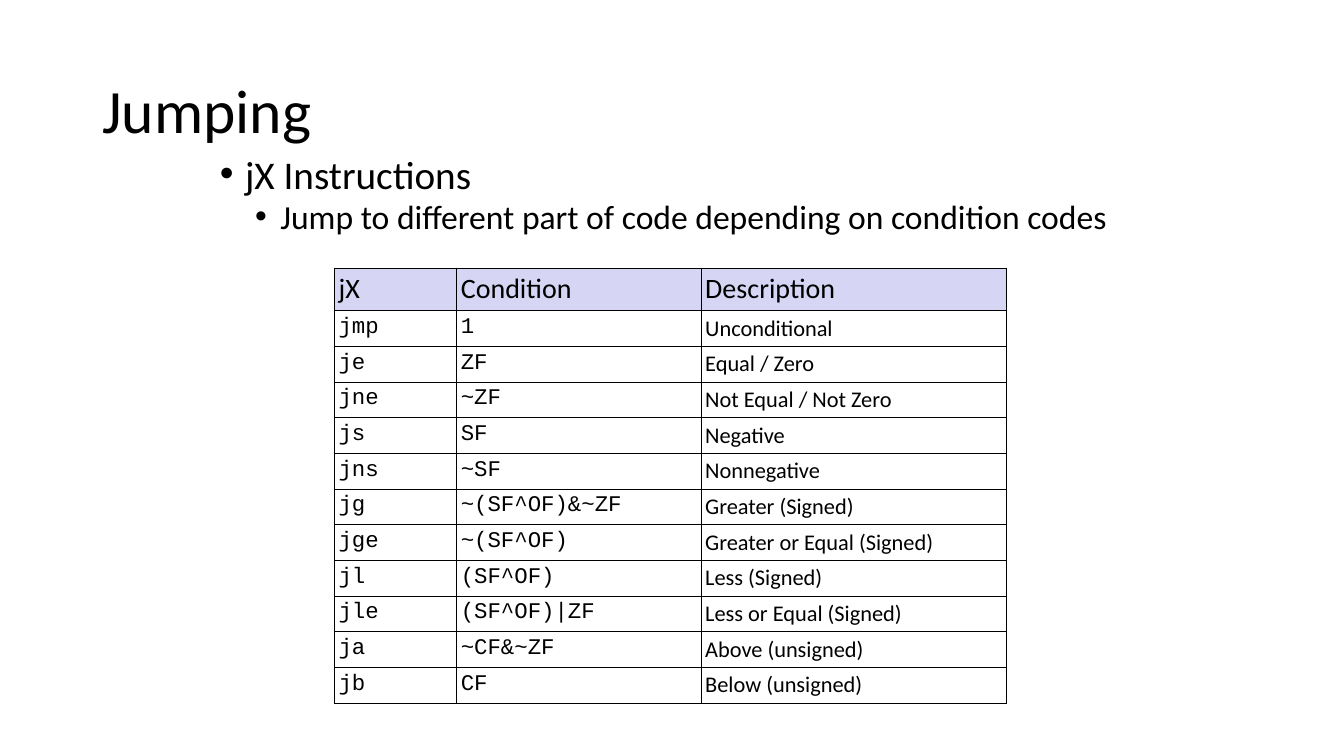
from lxml import etree
from pptx import Presentation
from pptx.dml.color import RGBColor
from pptx.enum.text import MSO_ANCHOR
from pptx.oxml.ns import qn
from pptx.util import Pt

MIDDLE = MSO_ANCHOR.MIDDLE
COLORS = {"text": "000000", "border": "000000", "header": "D6D6F4"}
SANS, MONO = "Calibri", "Courier New"


def format_text(para, size, font):
    for span in para.runs:
        span.font.size = Pt(size)
        span.font.name = font
        span.font.color.rgb = RGBColor.from_string(COLORS["text"])


def add_border(cell):
    properties = cell._tc.get_or_add_tcPr()
    for side in ("lnL", "lnR", "lnT", "lnB"):
        line = etree.SubElement(properties, qn("a:" + side), w=str(Pt(1)))
        fill = etree.SubElement(line, qn("a:solidFill"))
        etree.SubElement(fill, qn("a:srgbClr"), val=COLORS["border"])


deck = Presentation()
deck.slide_width, deck.slide_height = Pt(960), Pt(540)
page = deck.slides.add_slide(deck.slide_layouts[6])

# Title
title = page.shapes.add_textbox(Pt(66), Pt(28.75), Pt(828), Pt(104.4)).text_frame
title.word_wrap = True
title.vertical_anchor = MIDDLE
title.text = "Jumping"
title.paragraphs[0].line_spacing = 0.9
format_text(title.paragraphs[0], 44, SANS)

# Bullets: text, size, space before, left margin
bullets = [
    ("jX Instructions", 28, 10, 18),
    ("Jump to different part of code depending on condition codes", 24, 5, 43.2),
]
body = page.shapes.add_textbox(Pt(150), Pt(110.2), Pt(660), Pt(67.7)).text_frame
body.word_wrap = True
body.text = "\n".join(bullet[0] for bullet in bullets)
for level, (para, bullet) in enumerate(zip(body.paragraphs, bullets)):
    text, size, space, margin = bullet
    para.level = level
    para.line_spacing = 0.8
    para.space_before = Pt(space)
    format_text(para, size, SANS)
    properties = para._p.get_or_add_pPr()
    properties.set("marL", str(Pt(margin)))
    properties.set("indent", str(Pt(-18)))
    etree.SubElement(properties, qn("a:buFont"), typeface="Arial")
    etree.SubElement(properties, qn("a:buChar"), char="•")

# Jump instruction table
jumps = [
    ("jX", "Condition", "Description"),
    ("jmp", "1", "Unconditional"),
    ("je", "ZF", "Equal / Zero"),
    ("jne", "~ZF", "Not Equal / Not Zero"),
    ("js", "SF", "Negative"),
    ("jns", "~SF", "Nonnegative"),
    ("jg", "~(SF^OF)&~ZF", "Greater (Signed)"),
    ("jge", "~(SF^OF)", "Greater or Equal (Signed)"),
    ("jl", "(SF^OF)", "Less (Signed)"),
    ("jle", "(SF^OF)|ZF", "Less or Equal (Signed)"),
    ("ja", "~CF&~ZF", "Above (unsigned)"),
    ("jb", "CF", "Below (unsigned)"),
]
widths = (87.3, 174.6, 218.2)
header_height, row_height = 30.5, 25.5
table = page.shapes.add_table(
    len(jumps), len(widths), Pt(239), Pt(191.5), Pt(sum(widths)),
    Pt(header_height + row_height * (len(jumps) - 1))).table
table.first_row = table.horz_banding = False
for column, width in zip(table.columns, widths):
    column.width = Pt(width)

for row_index, (row, jump) in enumerate(zip(table.rows, jumps)):
    is_header = row_index == 0
    row.height = Pt(header_height if is_header else row_height)
    for column_index, (cell, text) in enumerate(zip(row.cells, jump)):
        cell.margin_left = cell.margin_right = Pt(2.9)
        cell.margin_top = cell.margin_bottom = Pt(2.9)
        cell.text = text
        is_code = not is_header and column_index < 2
        format_text(cell.text_frame.paragraphs[0], 20 if is_header else 16,
                    MONO if is_code else SANS)
        add_border(cell)
        if is_header:
            cell.fill.solid()
            cell.fill.fore_color.rgb = RGBColor.from_string(COLORS["header"])
        else:
            cell.fill.background()

deck.save("out.pptx")
